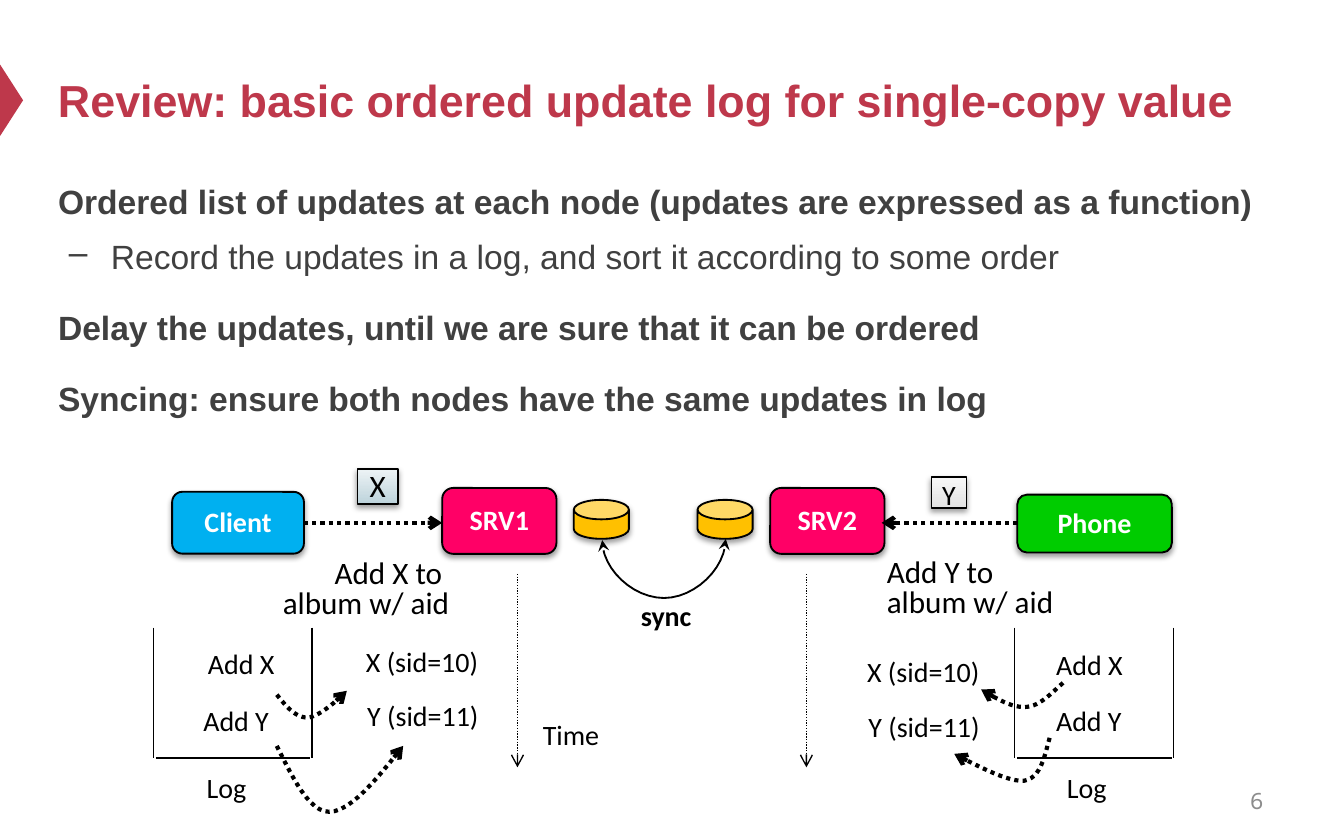
from lxml.etree import SubElement
from pptx import Presentation
from pptx.dml.color import RGBColor
from pptx.enum.dml import MSO_LINE
from pptx.enum.shapes import MSO_CONNECTOR, MSO_SHAPE
from pptx.enum.text import MSO_ANCHOR, PP_ALIGN
from pptx.oxml.ns import qn
from pptx.util import Pt

RED = RGBColor(0xBE, 0x38, 0x4B)
GRAY = RGBColor(0x40, 0x40, 0x40)
PALE = RGBColor(0x8C, 0x8C, 0x8C)
BLACK = RGBColor(0, 0, 0)
WHITE = RGBColor(0xFF, 0xFF, 0xFF)
PINK = RGBColor(0xFF, 0x00, 0x66)
GOLD = RGBColor(0xFF, 0xC0, 0x00)
BLUE = RGBColor(0x00, 0xB0, 0xF0)
GREEN = RGBColor(0x00, 0xCC, 0x00)
ICE = [RGBColor(0xBD, 0xD3, 0xDB), RGBColor(0xED, 0xF3, 0xF5)]
SILVER = [RGBColor(0xE2, 0xE2, 0xE2), RGBColor(0xF7, 0xF7, 0xF7)]


def write(paragraph, text, size=15, font="Calibri", color=BLACK, bold=False,
          align=PP_ALIGN.LEFT, spacing=1.0, before=0, bullet=None):
    paragraph.text = text
    paragraph.alignment = align
    paragraph.line_spacing = spacing
    paragraph.space_before = Pt(before)
    if bullet:
        properties = paragraph._p.get_or_add_pPr()
        properties.set("marL", str(Pt(28.3)))
        properties.set("indent", str(Pt(-22.5)))
        SubElement(properties, qn("a:buChar"), char=bullet)
    for run in paragraph.runs:
        run.font.size = Pt(size)
        run.font.name = font
        run.font.bold = bold
        run.font.color.rgb = color


class Diagram:
    """Draws the parts of the update-log slide in one shared style."""

    def __init__(self, slide):
        self.slide = slide
        self.shapes = slide.shapes

    def text(self, left, top, width, height, *paragraphs, wrap=False,
             anchor=MSO_ANCHOR.TOP, **style):
        frame = self.shapes.add_textbox(Pt(left), Pt(top), Pt(width), Pt(height)).text_frame
        frame.word_wrap = wrap
        frame.vertical_anchor = anchor
        for index, (words, extra) in enumerate(paragraphs):
            paragraph = frame.add_paragraph() if index else frame.paragraphs[0]
            write(paragraph, words, **{**style, **extra})

    def label(self, left, top, width, words, height=22.3, spacing=0.8, **style):
        self.text(left, top, width, height, (words, {}), spacing=spacing, **style)

    def shape(self, kind, left, top, width, height, fill, outline=1, shadow=True):
        part = self.shapes.add_shape(kind, Pt(left), Pt(top), Pt(width), Pt(height))
        if isinstance(fill, list):
            part.fill.gradient()
            part.fill.gradient_angle = 90
            for stop, color in zip(part.fill.gradient_stops, fill):
                stop.color.rgb = color
        else:
            part.fill.solid()
            part.fill.fore_color.rgb = fill
        if outline:
            part.line.color.rgb = BLACK
            part.line.width = Pt(outline)
        else:
            part.line.fill.background()
        part.shadow.inherit = False
        if shadow:
            effects = part._element.spPr.find(qn("a:effectLst"))
            outer = SubElement(effects, qn("a:outerShdw"), blurRad=str(Pt(3.1)),
                               dist=str(Pt(1.6)), dir="5400000", rotWithShape="0")
            tint = SubElement(outer, qn("a:srgbClr"), val="000000")
            SubElement(tint, qn("a:alpha"), val="38000")
        return part

    def node(self, kind, left, top, width, height, fill, words,
             margins=(0, 2.2, 0, 3.6), outline=1, **style):
        frame = self.shape(kind, left, top, width, height, fill, outline).text_frame
        frame.word_wrap = False
        frame.vertical_anchor = MSO_ANCHOR.MIDDLE
        (frame.margin_left, frame.margin_top,
         frame.margin_right, frame.margin_bottom) = map(Pt, margins)
        write(frame.paragraphs[0], words, align=PP_ALIGN.CENTER, **style)

    def stroke(self, part, width, dotted, head=None, tail=None):
        part.line.color.rgb = BLACK
        part.line.width = Pt(width)
        if dotted:
            part.line.dash_style = MSO_LINE.ROUND_DOT
        outline = part._element.spPr.find(qn("a:ln"))
        for end, kind in (("a:headEnd", head), ("a:tailEnd", tail)):
            if kind:
                SubElement(outline, qn(end), type=kind)

    def line(self, x1, y1, x2, y2, width=0.75, dotted=False, tail=None):
        part = self.shapes.add_connector(MSO_CONNECTOR.STRAIGHT, Pt(x1), Pt(y1), Pt(x2), Pt(y2))
        self.stroke(part, width, dotted, tail=tail)
        SubElement(part._element.spPr, qn("a:effectLst"))

    def curve(self, points, width=2.25, dotted=True, head=None, tail="arrow", steps=12):
        trail = []
        for first in range(0, len(points) - 1, 3):
            a, b, c, d = points[first:first + 4]
            for step in range(1, steps + 1):
                t = step / steps
                u = 1 - t
                trail.append(tuple(
                    Pt(u**3 * p + 3 * u * u * t * q + 3 * u * t * t * r + t**3 * s)
                    for p, q, r, s in zip(a, b, c, d)))
        builder = self.shapes.build_freeform(Pt(points[0][0]), Pt(points[0][1]))
        builder.add_line_segments(trail, close=False)
        part = builder.convert_to_shape()
        part.fill.background()
        part.shadow.inherit = False
        self.stroke(part, width, dotted, head, tail)


def main():
    deck = Presentation()
    deck.slide_width, deck.slide_height = Pt(720), Pt(450)
    diagram = Diagram(deck.slides.add_slide(deck.slide_layouts[6]))
    right = PP_ALIGN.RIGHT

    marker = diagram.shape(MSO_SHAPE.ISOSCELES_TRIANGLE, -12.9, 47.6, 38.2, 12.3, RED,
                           outline=0, shadow=False)
    marker.rotation = 90
    diagram.text(24, 18, 648, 70.6,
                 ("Review: basic ordered update log for single-copy value", {}),
                 wrap=True, anchor=MSO_ANCHOR.MIDDLE, size=24, font="Arial", color=RED, bold=True)
    diagram.text(
        24, 89.3, 687.6, 203.8,
        ("Ordered list of updates at each node (updates are expressed as a function)", {"before": 0}),
        ("Record the updates in a log, and sort it according to some order",
         {"bold": False, "before": 3.6, "bullet": "–"}),
        ("Delay the updates, until we are sure that it can be ordered", {}),
        ("Syncing: ensure both nodes have the same updates in log", {}),
        wrap=True, size=18, font="Arial", color=GRAY, bold=True, spacing=1.2, before=12)
    diagram.text(516.2, 416.9, 167.8, 23.8, ("6", {}), wrap=True, anchor=MSO_ANCHOR.MIDDLE,
                 size=12, font="Noto Sans Mono", color=PALE, align=right)

    diagram.label(468, 296, 113.8, "Add Y to\valbum w/ aid", height=39.6, size=16.7)
    diagram.label(133.9, 296.6, 113.8, "Add X to \valbum w/ aid", height=39.6, size=16.7, align=right)
    diagram.node(MSO_SHAPE.RECTANGLE, 191.5, 251.3, 21.6, 18.7, ICE, "X",
                 margins=(2.2, 2.2, 2.2, 0), size=16.7, spacing=0.8)
    diagram.node(MSO_SHAPE.RECTANGLE, 499, 255.6, 18.7, 16.6, SILVER, "Y",
                 margins=(2.2, 5, 2.2, 0), outline=0.75, spacing=0.8)

    diagram.curve([(388.8, 288.7), (388.8, 304.5), (372.2, 320.4), (355.7, 320.4),
                   (339.1, 320.4), (322.6, 304.9), (322.6, 289.4)],
                  width=1, dotted=False, head="stealth", tail="stealth")
    for left in (307.4, 373.7):
        database = diagram.shape(MSO_SHAPE.CAN, left, 267.8, 29.5, 20.9, GOLD)
        database.adjustments[0] = 0.5
    for name, left, top, width, height, fill in (
            ("SRV1", 236.9, 261.4, 61.2, 35.3, PINK),
            ("SRV2", 412.6, 261.4, 61.2, 35.3, PINK),
            ("Client", 92.2, 263.5, 70.6, 33.1, BLUE),
            ("Phone", 545, 265, 82.8, 31, GREEN)):
        diagram.node(MSO_SHAPE.ROUNDED_RECTANGLE, left, top, width, height, fill, name,
                     color=WHITE, bold=True)
    for start, end in ((162.7, 236.9), (545, 472.3)):
        diagram.line(start, 280.1, end, 280.1, width=2.25, dotted=True, tail="arrow")
    diagram.label(336.2, 320.4, 44.6, "sync", bold=True)

    for timeline in (277.2, 432):
        diagram.line(timeline, 307.4, timeline, 411.1, dotted=True, tail="arrow")
    diagram.label(283.7, 380.9, 46.8, "Time", height=25.2, spacing=1.0)

    for log, caption in ((82.1, 103.7), (543.6, 564.5)):
        for side in (log, log + 85):
            diagram.line(side, 336.2, side, 406.1)
        diagram.line(log + 1.4, 406.1, log + 84.2, 406.1)
        diagram.label(caption, 409, 40.3, "Log", height=25.2, spacing=1.0)
    diagram.label(97.9, 346.3, 56.2, "Add X", align=right)
    diagram.label(96.5, 376.6, 54.7, "Add Y", align=right)
    diagram.label(558.7, 347, 56.2, "Add X")
    diagram.label(558.7, 376.6, 54.7, "Add Y")
    for left, top in ((181.9, 345.2), (450.4, 350.6)):
        diagram.label(left, top, 81.4, "X (sid=10)", align=right)
        diagram.label(left + 1, top + 29.2, 80.6, "Y (sid=11)", align=right)

    for path_points in (
            [(148.3, 399.6), (157, 416.9), (165.6, 434.9), (176.4, 434.9),
             (187.9, 434.9), (202.3, 416.9), (216, 399.6)],
            [(148.3, 372.2), (153.4, 378.7), (158.4, 384.5), (164.9, 384.5),
             (170.6, 383.8), (178.6, 377.3), (185.8, 370.1)],
            [(569.5, 365.8), (563, 371.5), (557.3, 378), (550.1, 378.7),
             (542.2, 379.4), (534.2, 374.4), (525.6, 369.4)],
            [(562.3, 395.3), (559.4, 406.1), (557.3, 416.9), (548.6, 418.3),
             (540.7, 419), (526.3, 411.8), (511.2, 403.9)]):
        diagram.curve(path_points)
    deck.save("out.pptx")


if __name__ == "__main__":
    main()
